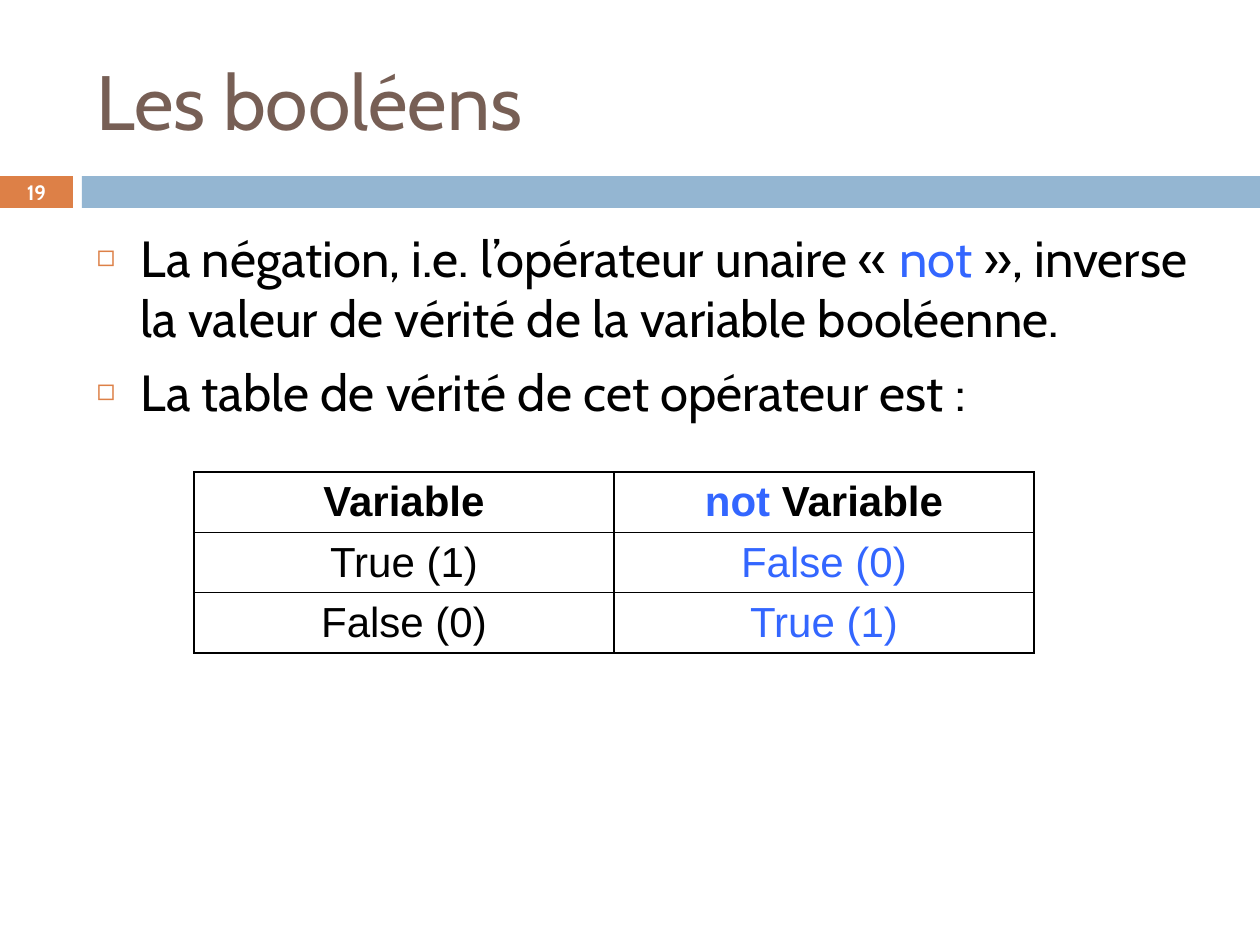
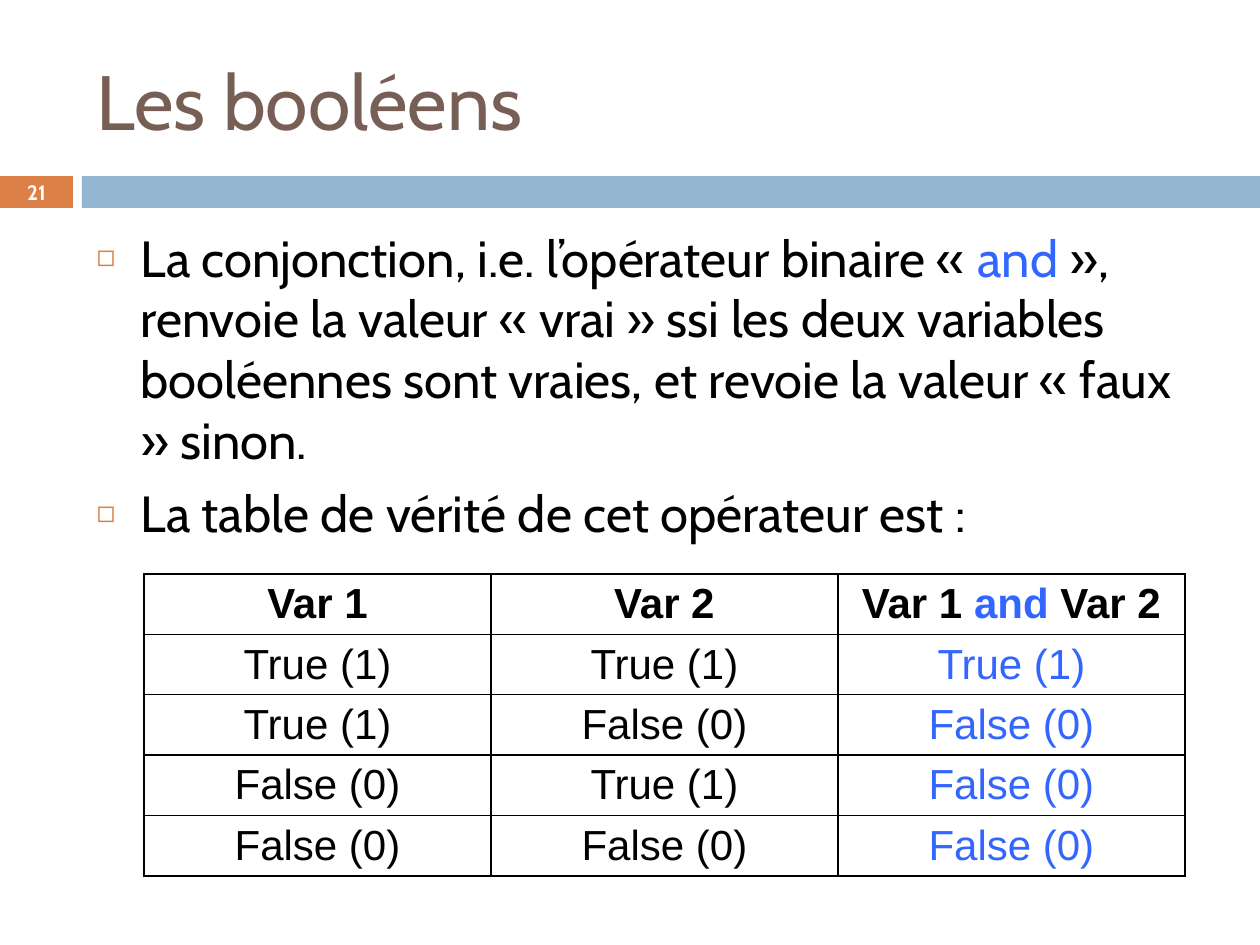
from lxml import etree
from pptx import Presentation
from pptx import util as u
from pptx.dml.color import RGBColor
from pptx.enum import shapes, text
from pptx.oxml import ns

PX = 914400 // 126
TITLE = "Les booléens"
TABLE_INTRO = "La table de vérité de cet opérateur est :"
TRUE, FALSE = "True (1)", "False (0)"

SLIDES = [
    {
        "number": 19,
        "bullets": [
            "La négation, i.e. l’opérateur unaire « *not* », inverse la valeur "
            "de vérité de la variable booléenne.",
            TABLE_INTRO,
        ],
        "table_box": (194, 472, 840, 179),
        "rows": [
            ("Variable", "*not* Variable"),
            (TRUE, FALSE),
            (FALSE, TRUE),
        ],
    },
    {
        "number": 21,
        "bullets": [
            "La conjonction, i.e. l’opérateur binaire « *and* », renvoie la valeur "
            "« vrai » ssi les deux variables booléennes sont vraies, "
            "et revoie la valeur « faux » sinon.",
            TABLE_INTRO,
        ],
        "table_box": (144, 574, 1041, 297),
        "rows": [
            ("Var 1", "Var 2", "Var 1 *and* Var 2"),
            (TRUE, TRUE, TRUE),
            (TRUE, FALSE, FALSE),
            (FALSE, TRUE, FALSE),
            (FALSE, FALSE, FALSE),
        ],
    },
]

ORANGE, BLUE, BROWN = "DD8047", "94B6D2", "775F55"
BLACK, WHITE, KEYWORD = "000000", "FFFFFF", "3366FF"
TITLE_BOX = (84, 32, 1124, 136)
BODY_BOX = (84, 220, 1124, 620)
NUMBER_BOX = (0, 175, 73, 34)
BANDS = [((0, 176, 73, 32), ORANGE), ((82, 176, 1178, 32), BLUE)]
BULLET_INDENT = 44


def color(value):
    return RGBColor.from_string(value)


def scale(box):
    return [length * PX for length in box]


def place(shape, box):
    shape.left, shape.top, shape.width, shape.height = scale(box)


def write(paragraph, marked, font, size, fill=BLACK, bold=False):
    for index, part in enumerate(marked.split("*")):
        if part:
            run = paragraph.add_run()
            run.text = part
            run.font.name = font
            run.font.size = u.Pt(size)
            run.font.bold = bold
            run.font.color.rgb = color(KEYWORD if index % 2 else fill)


def add_xml(parent, tag, **attributes):
    return etree.SubElement(parent, ns.qn(tag), attributes)


def add_bullet(paragraph):
    properties = paragraph._p.get_or_add_pPr()
    properties.set("marL", str(BULLET_INDENT * PX))
    properties.set("indent", str(-BULLET_INDENT * PX))
    add_xml(add_xml(properties, "a:buClr"), "a:srgbClr", val=ORANGE)
    add_xml(properties, "a:buSzPct", val="60000")
    add_xml(properties, "a:buChar", char="◻")


def add_borders(cell):
    properties = cell._tc.get_or_add_tcPr()
    for index, side in enumerate(("a:lnL", "a:lnR", "a:lnT", "a:lnB")):
        line = add_xml(properties, side, w=str(u.Pt(1)))
        add_xml(add_xml(line, "a:solidFill"), "a:srgbClr", val=BLACK)
        properties.insert(index, line)


def add_frame(slide, number):
    for box, fill in BANDS:
        band = slide.shapes.add_shape(shapes.MSO_SHAPE.RECTANGLE, *scale(box))
        band.shadow.inherit = False
        band.fill.solid()
        band.fill.fore_color.rgb = color(fill)
        band.line.fill.background()

    title = slide.shapes.title
    place(title, TITLE_BOX)
    title.text_frame.vertical_anchor = text.MSO_ANCHOR.MIDDLE
    paragraph = title.text_frame.paragraphs[0]
    paragraph.alignment = text.PP_ALIGN.LEFT
    write(paragraph, TITLE, "Cabin", 44, BROWN)

    frame = slide.shapes.add_textbox(*scale(NUMBER_BOX)).text_frame
    frame.word_wrap = True
    frame.margin_left = frame.margin_right = frame.margin_top = frame.margin_bottom = 0
    frame.vertical_anchor = text.MSO_ANCHOR.MIDDLE
    frame.paragraphs[0].alignment = text.PP_ALIGN.CENTER
    write(frame.paragraphs[0], str(number), "Cabin", 11.9, WHITE, True)


def add_bullets(slide, bullets):
    body = slide.placeholders[1]
    place(body, BODY_BOX)
    frame = body.text_frame
    frame.auto_size = text.MSO_AUTO_SIZE.NONE
    for index, bullet in enumerate(bullets):
        paragraph = frame.add_paragraph() if index else frame.paragraphs[0]
        paragraph.space_before = u.Pt(7)
        add_bullet(paragraph)
        write(paragraph, bullet, "Cabin", 29)


def add_truth_table(slide, box, rows):
    last = len(rows[0]) - 1
    table = slide.shapes.add_table(len(rows), last + 1, *scale(box)).table
    for row_index, row in enumerate(rows):
        header = row_index == 0
        for column_index, value in enumerate(row):
            cell = table.cell(row_index, column_index)
            cell.fill.solid()
            cell.fill.fore_color.rgb = color(WHITE)
            cell.margin_top = cell.margin_bottom = 5 * PX
            cell.vertical_anchor = text.MSO_ANCHOR.MIDDLE
            add_borders(cell)
            paragraph = cell.text_frame.paragraphs[0]
            paragraph.alignment = text.PP_ALIGN.CENTER
            result = column_index == last and not header
            write(paragraph, value, "Arial", 24, KEYWORD if result else BLACK, header)


def main():
    presentation = Presentation()
    presentation.slide_width, presentation.slide_height = u.Inches(10), u.Inches(7.5)
    for content in SLIDES:
        slide = presentation.slides.add_slide(presentation.slide_layouts[1])
        add_frame(slide, content["number"])
        add_bullets(slide, content["bullets"])
        add_truth_table(slide, content["table_box"], content["rows"])
    presentation.save("out.pptx")


if __name__ == "__main__":
    main()
